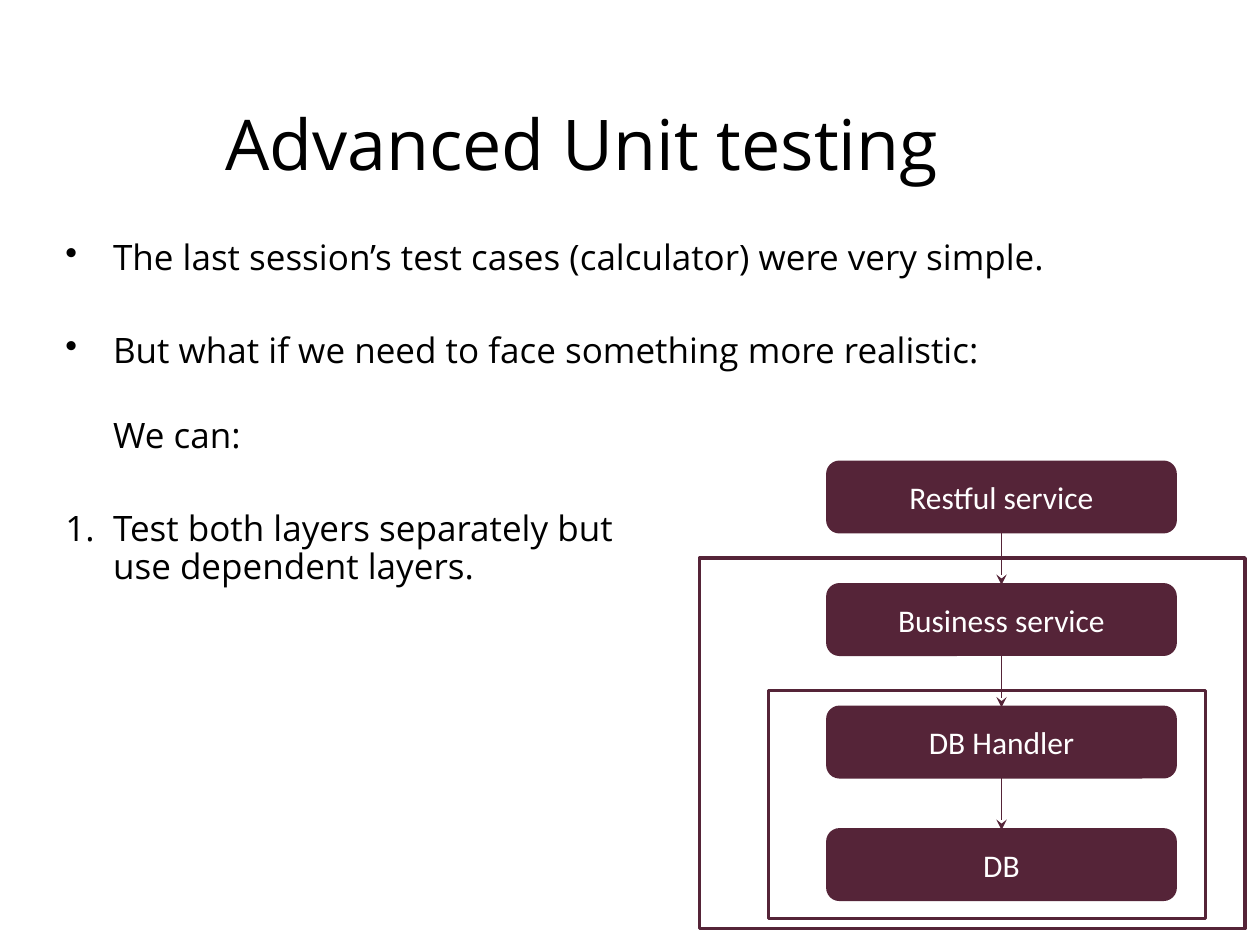
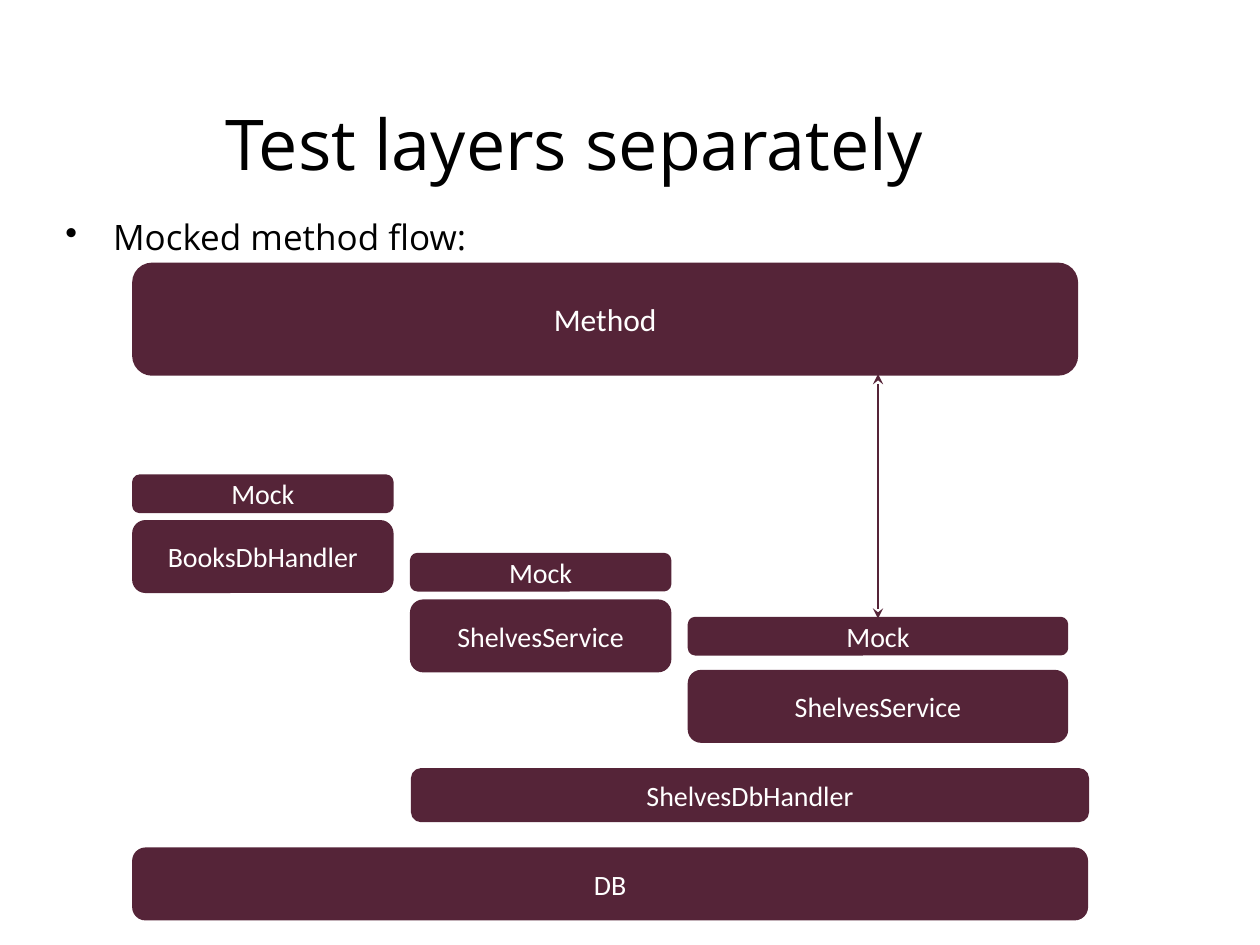
import dataclasses

import pptx
import pptx.dml.color
import pptx.enum.shapes
import pptx.enum.text
import pptx.oxml.ns
import pptx.util
from lxml import etree

Cm, Pt = pptx.util.Cm, pptx.util.Pt
RGB = pptx.dml.color.RGBColor
KIND = pptx.enum.shapes.MSO_SHAPE
ALIGN = pptx.enum.text.PP_ALIGN
ANCHOR = pptx.enum.text.MSO_ANCHOR
qn = pptx.oxml.ns.qn


@dataclasses.dataclass(frozen=True)
class Theme:
    plum: RGB = RGB(0x55, 0x24, 0x38)
    black: RGB = RGB(0, 0, 0)
    white: RGB = RGB(255, 255, 255)
    prose: str = "Open Sans"
    label: str = "Calibri"
    head: int = 40
    body: int = 20
    large: int = 18
    small: int = 16
    edge: float = 2
    thin: float = 0.75


THEME = Theme()

# Text, bullet mark, space before in points
POINTS = [
    ("The last session’s test cases (calculator) were very simple.", "•", 0),
    ("But what if we need to face something more realistic:", "•", 31.5),
    ("We can:", None, 27),
    ("Test both layers separately but\vuse dependent layers.", "1.", 31.5),
]
FLOW = [("Mocked method flow:", "•", 0)]

# Lengths below are in centimetres: left, top, width, height
STACK = ["Restful service", "Business service", "DB Handler", "DB"]
FIRST, PITCH = (16.69, 9.32, 7.0, 1.4), 2.47
FRAMES = [(14.1, 11.25, 11.0, 7.47), (15.49, 13.92, 8.81, 4.6)]

METHOD = (2.7, 5.33, 19.0, 2.21)
# Service, width, top of its mock, top of the service
MOCKED = [
    ("BooksDbHandler", 5.2, 9.6, 10.52),
    ("ShelvesService", 5.2, 11.18, 12.12),
    ("ShelvesService", 7.6, 12.47, 13.54),
]
COLUMN, MOCK_TALL, TALL = 5.6, 0.71, 1.4
BASE = [
    ("ShelvesDbHandler", (8.32, 15.52, 13.6, 1.02)),
    ("DB", (2.7, 17.12, 19.2, 1.4)),
]


def cm(*nums):
    return [Cm(num) for num in nums]


def write(para, text, font=THEME.prose, size=THEME.body, color=THEME.black,
          align=ALIGN.LEFT, before=0, lines=1.0):
    para.text = text
    para.alignment = align
    para.space_before = Pt(before)
    para.line_spacing = lines
    for part in (para, *para.runs):
        part.font.name = font
        part.font.size = Pt(size)
        part.font.color.rgb = color


def mark(para, sign):
    """Hang the paragraph and give it a bullet, a number or neither."""
    props = para._p.get_or_add_pPr()
    props.set("marL", str(Cm(0.96)))
    props.set("indent", str(Cm(-0.96) if sign else 0))
    if sign == "1.":
        etree.SubElement(props, qn("a:buAutoNum"), type="arabicPeriod")
    elif sign:
        etree.SubElement(props, qn("a:buChar"), char=sign)
    else:
        etree.SubElement(props, qn("a:buNone"))


def start(deck, title, points, top):
    """Add a slide with its title and its list."""
    slide = deck.slides.add_slide(deck.slide_layouts[6])
    head = slide.shapes.add_textbox(*cm(4.29, 1.27, 22.6, 3.2)).text_frame
    head.word_wrap = True
    head.vertical_anchor = ANCHOR.MIDDLE
    write(head.paragraphs[0], title, size=THEME.head)

    body = slide.shapes.add_textbox(*cm(1.07, top, 22.6, 7.19)).text_frame
    body.word_wrap = True
    for num, (text, sign, before) in enumerate(points):
        para = body.add_paragraph() if num else body.paragraphs[0]
        write(para, text, before=before, lines=0.9)
        mark(para, sign)
    return slide


def outline(slide, kind, place):
    shape = slide.shapes.add_shape(kind, *cm(*place))
    shape.shadow.inherit = False
    shape.fill.background()
    shape.line.color.rgb = THEME.plum
    shape.line.width = Pt(THEME.edge)
    return shape


def box(slide, text, place, size=THEME.small):
    shape = outline(slide, KIND.ROUNDED_RECTANGLE, place)
    shape.fill.solid()
    shape.fill.fore_color.rgb = THEME.plum
    frame = shape.text_frame
    frame.word_wrap = True
    frame.vertical_anchor = ANCHOR.MIDDLE
    write(frame.paragraphs[0], text, font=THEME.label, size=size,
          color=THEME.white, align=ALIGN.CENTER)


def arrow(slide, x, top, end, tips=("tailEnd",)):
    link = slide.shapes.add_connector(
        pptx.enum.shapes.MSO_CONNECTOR.STRAIGHT, *cm(x, top, x, end))
    link.line.color.rgb = THEME.plum
    link.line.width = Pt(THEME.thin)
    props = link._element.spPr
    for tip in tips:
        etree.SubElement(props.find(qn("a:ln")), qn("a:" + tip), type="stealth")
    etree.SubElement(props, qn("a:effectLst"))


def stack(deck):
    slide = start(deck, "Advanced Unit testing", POINTS, 4.72)
    left, first, wide, tall = FIRST
    tops = [first + PITCH * num for num in range(len(STACK))]
    for text, top in zip(STACK, tops):
        box(slide, text, (left, top, wide, tall), THEME.large)
    for top, end in zip(tops, tops[1:]):
        arrow(slide, left + wide / 2, top + tall, end)
    for place in FRAMES:
        outline(slide, KIND.RECTANGLE, place)


def flow(deck):
    slide = start(deck, "Test layers separately", FLOW, 4.32)
    box(slide, "Method", METHOD, THEME.large)
    for num, (text, wide, mock, top) in enumerate(MOCKED):
        left = METHOD[0] + COLUMN * num
        box(slide, "Mock", (left, mock, wide, MOCK_TALL))
        box(slide, text, (left, top, wide, TALL))
    for text, place in BASE:
        box(slide, text, place)
    # The method talks to the last mock only
    arrow(slide, left + wide / 2, METHOD[1] + METHOD[3], mock,
          tips=("headEnd", "tailEnd"))


def main():
    deck = pptx.Presentation()
    deck.slide_width, deck.slide_height = cm(25.4, 19.05)
    stack(deck)
    flow(deck)
    deck.save("out.pptx")


if __name__ == "__main__":
    main()
